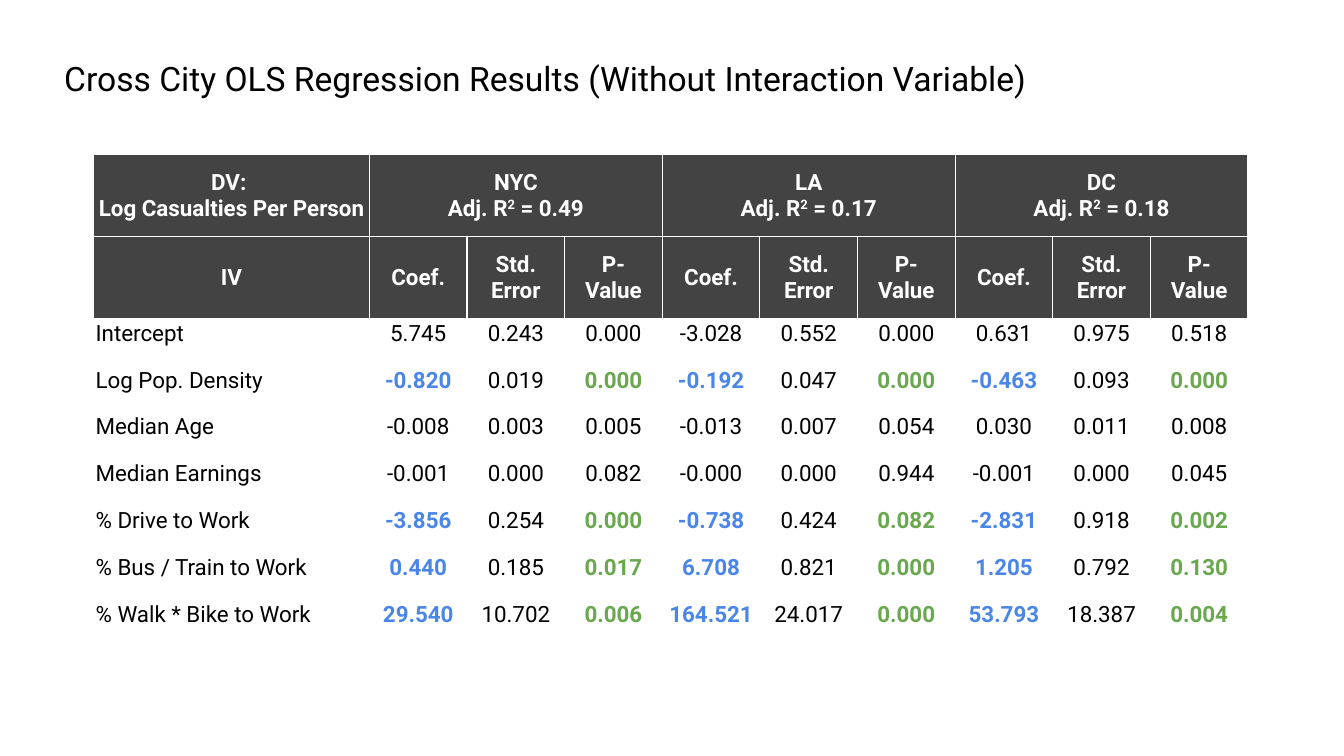
from lxml import etree
from pptx import Presentation
from pptx.dml.color import RGBColor
from pptx.enum.text import MSO_ANCHOR, PP_ALIGN
from pptx.oxml.ns import qn
from pptx.util import Cm, Pt

LEFT, CENTER = PP_ALIGN.LEFT, PP_ALIGN.CENTER
TOP, MIDDLE = MSO_ANCHOR.TOP, MSO_ANCHOR.MIDDLE
BLACK = RGBColor(0x00, 0x00, 0x00)
WHITE = RGBColor(0xFF, 0xFF, 0xFF)
GREY = RGBColor(0x43, 0x43, 0x43)
BLUE = RGBColor(0x4A, 0x86, 0xE8)
GREEN = RGBColor(0x6A, 0xA8, 0x4F)
FONT = "Roboto"

# Content: in a header, ^ raises the character after it
TITLE = "Cross City OLS Regression Results (Without Interaction Variable)"
CORNER = "DV: \nLog Casualties Per Person"
CITIES = [("NYC", "0.49"), ("LA", "0.17"), ("DC", "0.18")]
MEASURES = ["Coef.", "Std. Error", "P-\nValue"]
RESULTS = [
    ("Intercept", "5.745 0.243 0.000 -3.028 0.552 0.000 0.631 0.975 0.518"),
    ("Log Pop. Density", "-0.820 0.019 0.000 -0.192 0.047 0.000 -0.463 0.093 0.000"),
    ("Median Age", "-0.008 0.003 0.005 -0.013 0.007 0.054 0.030 0.011 0.008"),
    ("Median Earnings", "-0.001 0.000 0.082 -0.000 0.000 0.944 -0.001 0.000 0.045"),
    ("% Drive to Work", "-3.856 0.254 0.000 -0.738 0.424 0.082 -2.831 0.918 0.002"),
    ("% Bus / Train to Work", "0.440 0.185 0.017 6.708 0.821 0.000 1.205 0.792 0.130"),
    ("% Walk * Bike to Work", "29.540 10.702 0.006 164.521 24.017 0.000 53.793 18.387 0.004"),
]
HIGHLIGHTED = {"Log Pop. Density", "% Drive to Work",
               "% Bus / Train to Work", "% Walk * Bike to Work"}
MEASURE_COLORS = [BLUE, None, GREEN]

# Measures
LABEL_W, VALUE_W = Cm(6.95), Cm(2.46)
HEADER_H, ROW_H = Cm(2.07), Cm(1.18)
N = len(MEASURES)
COLS = 1 + N * len(CITIES)
ROWS = 2 + len(RESULTS)


def write(tf, text, size=16, color=BLACK, bold=False, align=CENTER):
    for i, line in enumerate(text.split("\n")):
        p = tf.paragraphs[0] if i == 0 else tf.add_paragraph()
        p.alignment = align
        base, *raised = line.split("^")
        parts = [(base, False)]
        for part in raised:
            parts += [(part[0], True), (part[1:], False)]
        for part, is_raised in parts:
            r = p.add_run()
            r.text = part
            r.font.name, r.font.size = FONT, Pt(size)
            r.font.bold, r.font.color.rgb = bold, color
            if is_raised:
                r.font._element.set("baseline", "30000")


def set_borders(cell):
    tcPr = cell._tc.get_or_add_tcPr()
    for side in ("a:lnL", "a:lnR", "a:lnT", "a:lnB"):
        ln = etree.SubElement(tcPr, qn(side), w=str(Pt(1)))
        fill = etree.SubElement(ln, qn("a:solidFill"))
        etree.SubElement(fill, qn("a:srgbClr"), val=str(WHITE))


def fill_header(cell, text):
    cell.vertical_anchor = MIDDLE
    write(cell.text_frame, text, color=WHITE, bold=True)


prs = Presentation()
prs.slide_width, prs.slide_height = Cm(33.87), Cm(19.05)
slide = prs.slides.add_slide(prs.slide_layouts[6])

# Table frame
sp = slide.shapes.add_table(ROWS, COLS, Cm(2.36), Cm(3.89),
                            LABEL_W + VALUE_W * (COLS - 1),
                            HEADER_H * 2 + ROW_H * len(RESULTS))
table = sp.table
table.first_row = table.horz_banding = False
for c, col in enumerate(table.columns):
    col.width = VALUE_W if c else LABEL_W
for r, row in enumerate(table.rows):
    row.height = HEADER_H if r < 2 else ROW_H
    for cell in row.cells:
        cell.margin_left = cell.margin_right = Cm(0.05)
        cell.margin_top = cell.margin_bottom = Cm(0.05)
        cell.vertical_anchor = TOP
        set_borders(cell)
        if r < 2:
            cell.fill.solid()
            cell.fill.fore_color.rgb = GREY
        else:
            cell.fill.background()

# Header rows
fill_header(table.cell(0, 0), CORNER)
fill_header(table.cell(1, 0), "IV")
for i, (city, fit) in enumerate(CITIES):
    first = 1 + i * N
    table.cell(0, first).merge(table.cell(0, first + N - 1))
    fill_header(table.cell(0, first), f"{city}\nAdj. R^2 = {fit}")
    for j, measure in enumerate(MEASURES):
        fill_header(table.cell(1, first + j), measure)

# Result rows
for r, (label, values) in enumerate(RESULTS, start=2):
    write(table.cell(r, 0).text_frame, label, align=LEFT)
    for c, value in enumerate(values.split()):
        accent = MEASURE_COLORS[c % N] if label in HIGHLIGHTED else None
        write(table.cell(r, c + 1).text_frame, value,
              color=accent or BLACK, bold=accent is not None)

# Title
tf = slide.shapes.add_textbox(Cm(1.37), Cm(1.22), Cm(31.34), Cm(2.34)).text_frame
tf.word_wrap = True
tf.margin_left = tf.margin_right = tf.margin_top = tf.margin_bottom = Cm(0.25)
write(tf, TITLE, size=24, align=LEFT)

prs.save("out.pptx")
